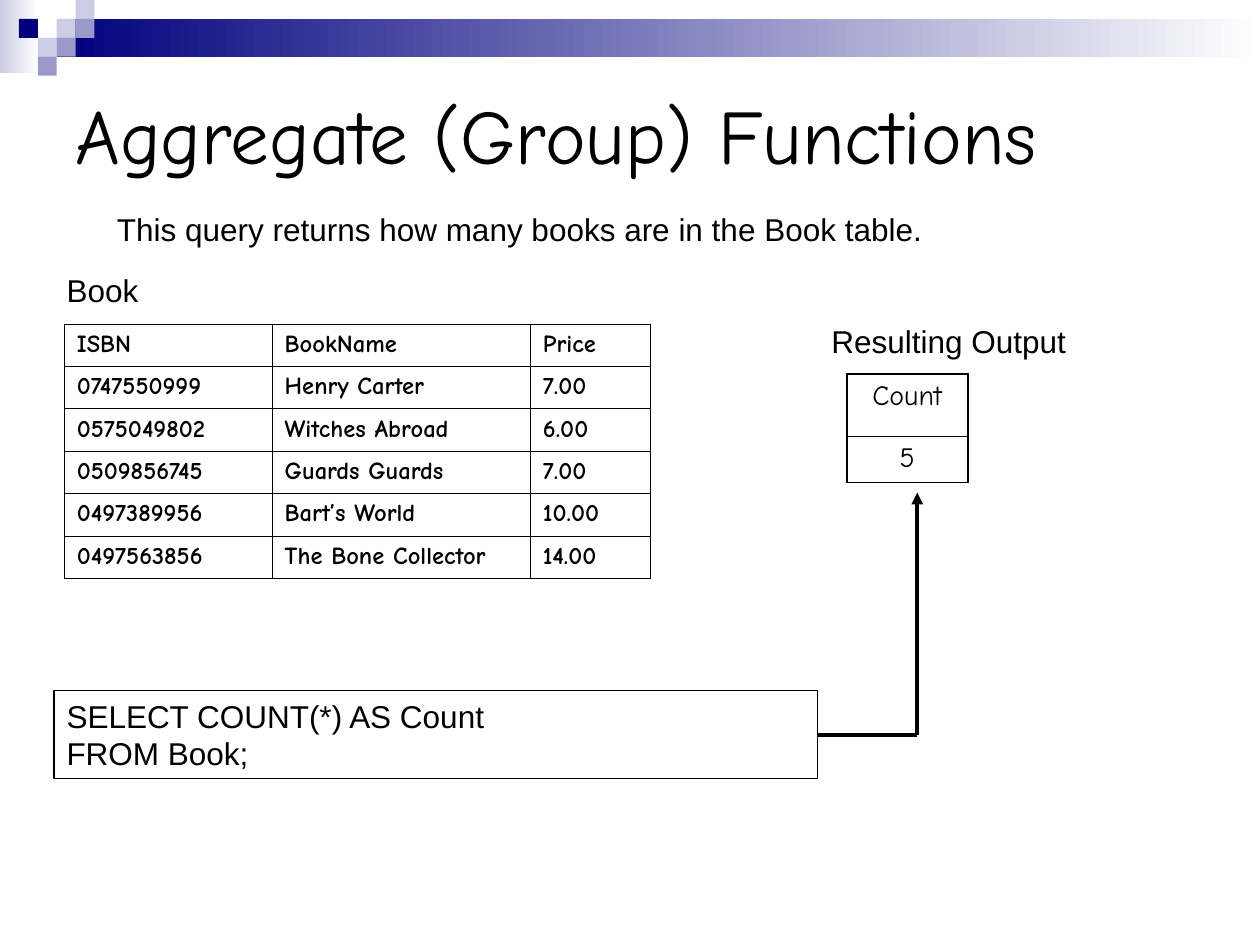
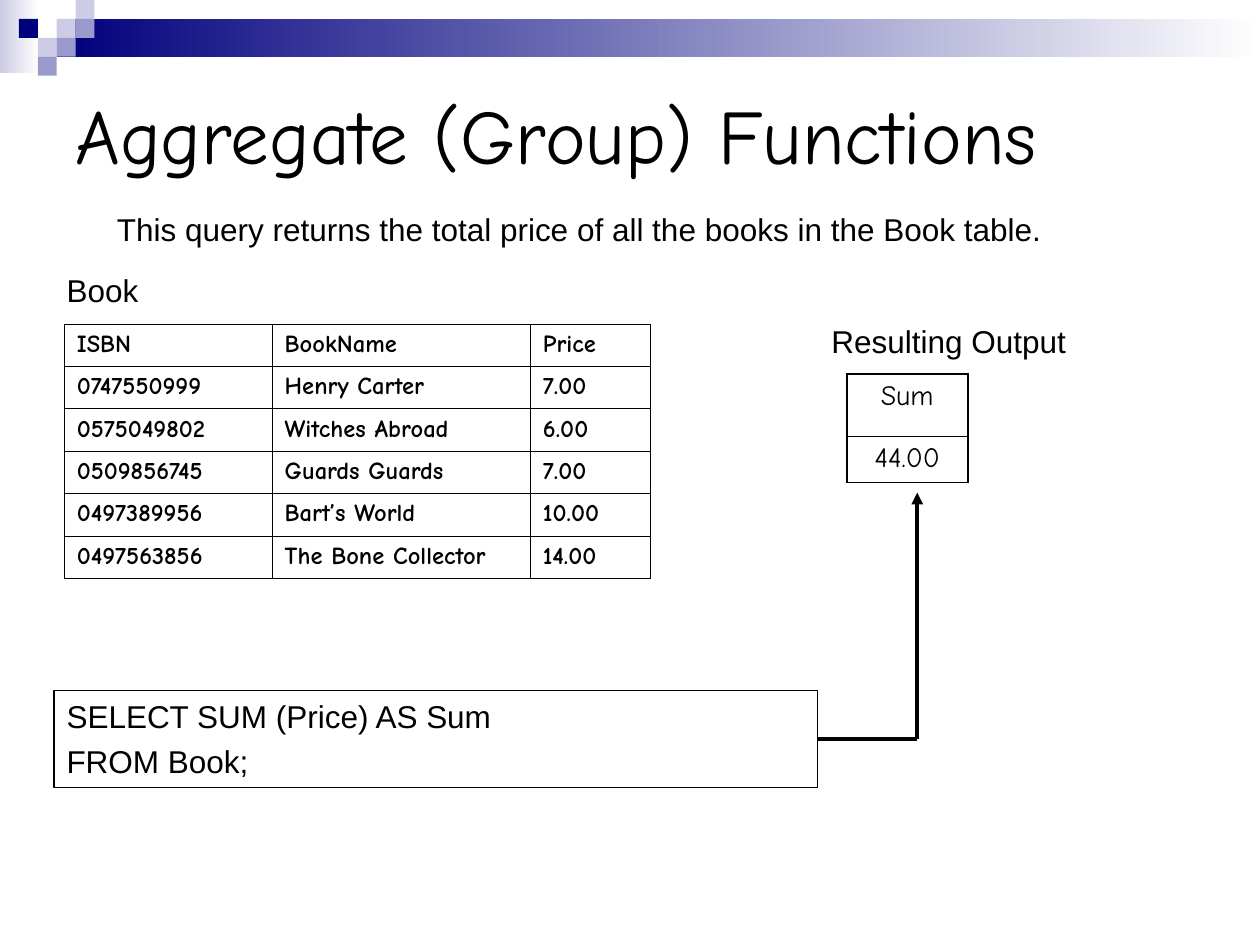
from dataclasses import dataclass
from typing import NamedTuple

from lxml import etree
from pptx import Presentation
from pptx.dml.color import RGBColor
from pptx.enum.shapes import MSO_CONNECTOR, MSO_SHAPE
from pptx.enum.text import MSO_ANCHOR, PP_ALIGN
from pptx.oxml.ns import qn
from pptx.util import Inches, Pt

RECT = MSO_SHAPE.RECTANGLE
STRAIGHT = MSO_CONNECTOR.STRAIGHT
TOP, MIDDLE = MSO_ANCHOR.TOP, MSO_ANCHOR.MIDDLE
LEFT, CENTER = PP_ALIGN.LEFT, PP_ALIGN.CENTER
RIGHT_SIDE = 3


@dataclass(frozen=True)
class Theme:
    ink: str = "000000"
    paper: str = "FFFFFF"
    navy: str = "00007D"
    mid: str = "9999CC"
    pale: str = "CCCCE6"
    head: str = "Comic Neue"
    body: str = "Arial"
    title_size: float = 44
    text_size: float = 18
    out_size: float = 16
    data_size: float = 14
    box_line: float = 0.75
    wire_line: float = 2.25


THEME = Theme()


class Box(NamedTuple):
    left: float
    top: float
    width: float
    height: float

    def place(self) -> list:
        return [Inches(size) for size in self]


class Label(NamedTuple):
    text: str
    box: Box
    font: dict
    anchor: int = TOP


class Grid(NamedTuple):
    left: float
    top: float
    cols: list
    rows: list
    font: dict
    align: int
    outer: float
    inner: float


class Query(NamedTuple):
    note: str
    code: list
    height: float
    gap: float
    result: list


# Type styles
TITLE = {"name": THEME.head, "size": Pt(THEME.title_size)}
TEXT = {"name": THEME.body, "size": Pt(THEME.text_size)}
OUT = {"name": THEME.head, "size": Pt(THEME.out_size)}
DATA = {"name": THEME.head, "size": Pt(THEME.data_size), "bold": True}

# Header art: fading bars, then squares as column, row and colour
BARS = [(Box(0, 0, 0.31, 0.58), THEME.pale), (Box(0.45, 0.15, 9.55, 0.3), THEME.navy)]
SIDE = 0.15
SQUARES = [
    (3, 1, THEME.pale), (4, 0, THEME.pale), (4, 1, THEME.mid), (2, 2, THEME.pale),
    (1, 1, THEME.navy), (3, 2, THEME.mid), (2, 3, THEME.mid),
]

# Parts shared by both slides
LABELS = [
    Label("Aggregate (Group) Functions", Box(0.5, 0.5, 9, 1.12), TITLE, MIDDLE),
    Label("Book", Box(0.43, 2.1, 2.91, 0.4), TEXT),
    Label("Resulting Output", Box(6.5, 2.51, 2.91, 0.4), TEXT),
]
NOTE = Box(0.83, 1.62, 8.03, 0.4)
CODE = Box(0.43, 5.48, 6.06, 0.7)
TURN, TIP = 7.28, 3.91
BOOK_GRID = Grid(0.51, 2.57, [1.65, 2.05, 0.95], [2.02 / 6] * 6, DATA, LEFT, 0.34, 0.34)
OUT_GRID = Grid(6.72, 2.97, [0.96], [0.49, 0.37], OUT, CENTER, 1.08, 0.45)
BOOKS = [
    ["ISBN", "BookName", "Price"],
    ["0747550999", "Henry Carter", "7.00"],
    ["0575049802", "Witches Abroad", "6.00"],
    ["0509856745", "Guards Guards", "7.00"],
    ["0497389956", "Bart’s World", "10.00"],
    ["0497563856", "The Bone Collector", "14.00"],
]
QUERIES = [
    Query("This query returns how many books are in the Book table.",
          ["SELECT COUNT(*) AS Count", "FROM Book;"], 0.7, 0, ["Count", "5"]),
    Query("This query returns the total price of all the books in the Book table.",
          ["SELECT SUM (Price) AS Sum", "FROM Book;"], 0.77, 4.5, ["Sum", "44.00"]),
]


def color(code: str) -> RGBColor:
    return RGBColor.from_string(code)


def write(frame, lines: list, font: dict, align: int = LEFT, gap: float = 0) -> None:
    for at, line in enumerate(lines):
        para = frame.paragraphs[0] if at == 0 else frame.add_paragraph()
        para.text = line
        para.alignment = align
        if at and gap:
            para.space_before = Pt(gap)
        for name, value in font.items():
            setattr(para.font, name, value)
        para.font.color.rgb = color(THEME.ink)


def add_rect(slide, box: Box):
    shape = slide.shapes.add_shape(RECT, *box.place())
    shape.shadow.inherit = False
    return shape


def add_head(slide) -> None:
    for box, tint in BARS:
        bar = add_rect(slide, box)
        bar.line.fill.background()
        bar.fill.gradient()
        bar.fill.gradient_angle = 0
        for stop, code in zip(bar.fill.gradient_stops, (tint, THEME.paper)):
            stop.color.rgb = color(code)
    for col, row, tint in SQUARES:
        square = add_rect(slide, Box(col * SIDE, row * SIDE, SIDE, SIDE))
        square.line.fill.background()
        square.fill.solid()
        square.fill.fore_color.rgb = color(tint)


def add_label(slide, label: Label) -> None:
    frame = slide.shapes.add_textbox(*label.box.place()).text_frame
    frame.word_wrap = True
    frame.vertical_anchor = label.anchor
    write(frame, [label.text], label.font)


def add_code(slide, query: Query):
    shape = add_rect(slide, CODE._replace(height=query.height))
    shape.fill.background()
    shape.line.color.rgb = color(THEME.ink)
    shape.line.width = Pt(THEME.box_line)
    frame = shape.text_frame
    frame.word_wrap = True
    frame.vertical_anchor = TOP
    write(frame, query.code, TEXT, gap=query.gap)
    return shape


def add_wire(slide, start: tuple, end: tuple):
    wire = slide.shapes.add_connector(STRAIGHT, *map(Inches, start + end))
    wire.line.color.rgb = color(THEME.ink)
    wire.line.width = Pt(THEME.wire_line)
    etree.SubElement(wire._element.spPr, qn("a:effectLst"))
    return wire


def add_route(slide, code, height: float) -> None:
    # Right from the code box, then up to the result
    level = CODE.top + height / 2
    run = add_wire(slide, (CODE.left + CODE.width, level), (TURN, level))
    run.begin_connect(code, RIGHT_SIDE)
    rise = add_wire(slide, (TURN, level), (TURN, TIP))
    etree.SubElement(rise.line._get_or_add_ln(), qn("a:tailEnd"), type="triangle")


def add_edge(cell, side: str, width: float) -> None:
    edge = etree.SubElement(cell._tc.get_or_add_tcPr(), qn(f"a:ln{side}"), w=str(Pt(width)))
    fill = etree.SubElement(edge, qn("a:solidFill"))
    etree.SubElement(fill, qn("a:srgbClr"), val=THEME.ink)


def add_grid(slide, grid: Grid, data: list) -> None:
    box = Box(grid.left, grid.top, sum(grid.cols), sum(grid.rows))
    table = slide.shapes.add_table(len(grid.rows), len(grid.cols), *box.place()).table
    table.first_row = table.horz_banding = False
    for col, width in zip(table.columns, grid.cols):
        col.width = Inches(width)
    for row, height in zip(table.rows, grid.rows):
        row.height = Inches(height)
    for r, line in enumerate(data):
        for c, text in enumerate(line):
            cell = table.cell(r, c)
            rims = {"L": c == 0, "R": c == len(line) - 1, "T": r == 0, "B": r == len(data) - 1}
            for side, rim in rims.items():
                add_edge(cell, side, grid.outer if rim else grid.inner)
            cell.fill.solid()
            cell.fill.fore_color.rgb = color(THEME.paper)
            cell.vertical_anchor = TOP
            write(cell.text_frame, [text], grid.font, grid.align)


def add_query(deck, query: Query) -> None:
    slide = deck.slides.add_slide(deck.slide_layouts[6])
    add_head(slide)
    for label in [*LABELS, Label(query.note, NOTE, TEXT)]:
        add_label(slide, label)
    code = add_code(slide, query)
    add_route(slide, code, query.height)
    add_grid(slide, OUT_GRID, [[text] for text in query.result])
    add_grid(slide, BOOK_GRID, BOOKS)


def main() -> None:
    deck = Presentation()
    deck.slide_width, deck.slide_height = Inches(10), Inches(7.5)
    for query in QUERIES:
        add_query(deck, query)
    deck.save("out.pptx")


if __name__ == "__main__":
    main()
